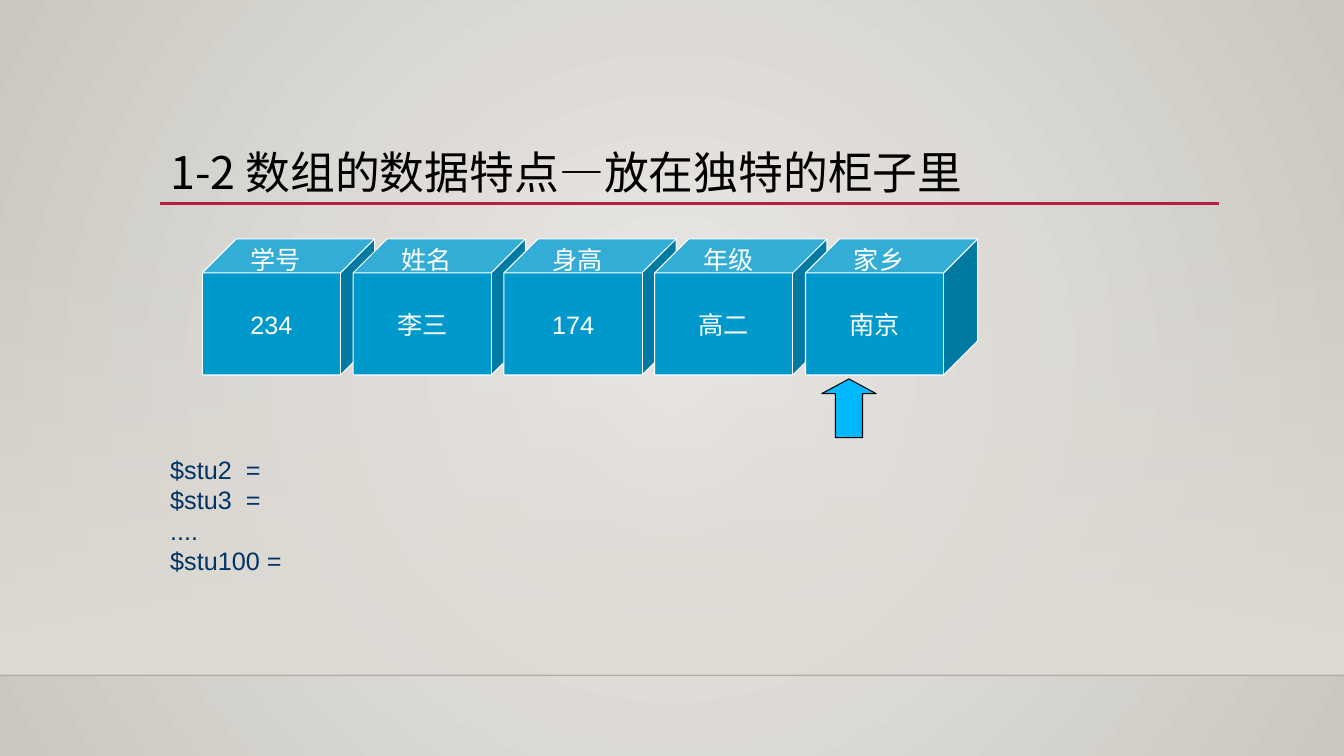
from lxml.etree import SubElement
from pptx import Presentation
from pptx.dml.color import RGBColor
from pptx.enum.shapes import MSO_CONNECTOR as Connector, MSO_SHAPE as Shape
from pptx.enum.text import MSO_ANCHOR as Anchor, PP_ALIGN as Align
from pptx.oxml.ns import qn
from pptx.util import Cm, Pt

BLACK = RGBColor(0x00, 0x00, 0x00)
WHITE = RGBColor(0xFF, 0xFF, 0xFF)
NAVY = RGBColor(0x00, 0x33, 0x66)
CABINET_BLUE = RGBColor(0x00, 0x99, 0xCC)
ARROW_BLUE = RGBColor(0x00, 0xB8, 0xFF)
CRIMSON = RGBColor(0xB7, 0x1E, 0x42)
WALL_CENTRE = RGBColor(0xEC, 0xEA, 0xE7)
WALL_EDGE = RGBColor(0xCA, 0xC7, 0xC1)
WALL_GLOW = RGBColor(0xDF, 0xDB, 0xD5)

SLIDE_WIDTH, SLIDE_HEIGHT = 33.87, 19.05
FIELDS = [("学号", "234"), ("姓名", "李三"), ("身高", "174"),
          ("年级", "高二"), ("家乡", "南京")]
STUDENTS = ["$stu2  =", "$stu3  =", "....", "$stu100 ="]


def write(frame, *lines, size=18, font="Arial", color=WHITE, align=Align.LEFT,
          anchor=Anchor.TOP, spacing=None, wrap=True):
    """Fill a text frame with one paragraph per line in a single format."""
    frame.word_wrap = wrap
    frame.vertical_anchor = anchor
    for index, line in enumerate(lines):
        paragraph = frame.add_paragraph() if index else frame.paragraphs[0]
        paragraph.alignment = align
        paragraph.line_spacing = spacing
        run = paragraph.add_run()
        run.text = line
        run.font.size = Pt(size)
        run.font.name = font
        run.font.color.rgb = color
        SubElement(run.font._element, qn("a:ea"), typeface=font)


def add_text(slide, left, top, width, height, *lines, **style):
    """Add a text box measured in centimetres."""
    box = slide.shapes.add_textbox(Cm(left), Cm(top), Cm(width), Cm(height))
    write(box.text_frame, *lines, **style)


def add_solid(slide, kind, left, top, width, height, fill, line, adjustments):
    """Add a flat preset shape with a thin outline."""
    solid = slide.shapes.add_shape(kind, Cm(left), Cm(top), Cm(width), Cm(height))
    solid.shadow.inherit = False
    solid.fill.solid()
    solid.fill.fore_color.rgb = fill
    solid.line.color.rgb = line
    solid.line.width = Pt(0.75)
    for index, value in enumerate(adjustments):
        solid.adjustments[index] = value
    return solid


def add_rule(slide, left, top, width, color, weight):
    """Add a horizontal line without a shadow."""
    rule = slide.shapes.add_connector(
        Connector.STRAIGHT, Cm(left), Cm(top), Cm(left + width), Cm(top))
    rule.line.color.rgb = color
    rule.line.width = Pt(weight)
    SubElement(rule._element.spPr, qn("a:effectLst"))
    return rule


def set_gradient(fill, *colors):
    """Give a fill a two-stop gradient."""
    fill.gradient()
    for stop, color in zip(fill.gradient_stops, colors):
        stop.color.rgb = color


def set_opacity(shape, percent):
    """Set the opacity of the first colour of a shape."""
    color = next(shape._element.spPr.iter(qn("a:srgbClr")))
    SubElement(color, qn("a:alpha"), val=str(percent * 1000))


def draw_room(slide, width, height):
    """Draw the radial wall, its glow and the floor line."""
    set_gradient(slide.background.fill, WALL_CENTRE, WALL_EDGE)
    gradient = next(slide._element.iter(qn("a:gradFill")))
    gradient.remove(gradient.find(qn("a:lin")))
    circle = SubElement(gradient, qn("a:path"), {"path": "circle"})
    SubElement(circle, qn("a:fillToRect"), dict.fromkeys("ltrb", "50000"))

    floor = height - 2.03
    glow = slide.shapes.add_shape(
        Shape.RECTANGLE, 0, Cm(floor - 11.4), Cm(width), Cm(11.4))
    glow.shadow.inherit = False
    glow.line.fill.background()
    set_gradient(glow.fill, WALL_GLOW, WALL_GLOW)
    glow.fill.gradient_angle = 270
    set_opacity(glow, 0)
    set_opacity(add_rule(slide, 0, floor, width, BLACK, 1), 20)


def draw_heading(slide, left, top, width, height):
    """Draw the title and the rule under it."""
    add_rule(slide, left, top + height - 0.03, width, CRIMSON, 2.5)
    add_text(slide, left, top, width, height, "1-2 数组的数据特点—放在独特的柜子里",
             size=32, font="Noto Sans CJK SC", color=BLACK,
             anchor=Anchor.MIDDLE, spacing=0.9)


def draw_cabinets(slide, left, top, width, height, pitch):
    """Draw one labelled cube per field and an arrow under the last."""
    lefts = [left + pitch * index for index in range(len(FIELDS))]
    for cube_left, (_, value) in zip(lefts, FIELDS):
        cube = add_solid(slide, Shape.CUBE, cube_left, top, width, height,
                         CABINET_BLUE, WHITE, [0.25])
        write(cube.text_frame, value, align=Align.CENTER,
              anchor=Anchor.MIDDLE, wrap=False)
    for cube_left, (label, _) in zip(lefts, FIELDS):
        add_text(slide, cube_left + 0.97, top, 2.3, 0.92, label)
    add_solid(slide, Shape.UP_ARROW, lefts[-1] + 0.41, top + height + 0.1,
              1.37, 1.48, ARROW_BLUE, BLACK, [0.5, 0.27])


def draw_students(slide, left, top, width, height):
    """List the remaining student variables."""
    add_text(slide, left, top, width, height, *STUDENTS, color=NAVY)


def main():
    """Build and save the slide."""
    deck = Presentation()
    deck.slide_width, deck.slide_height = Cm(SLIDE_WIDTH), Cm(SLIDE_HEIGHT)
    slide = deck.slides.add_slide(deck.slide_layouts[6])
    draw_room(slide, SLIDE_WIDTH, SLIDE_HEIGHT)
    draw_heading(slide, 4.04, 3.66, 26.68, 1.5)
    draw_cabinets(slide, 5.1, 6.02, 4.34, 3.43, pitch=3.8)
    draw_students(slide, 4.04, 11.33, 3.71, 3.91)
    deck.save("out.pptx")


main()
